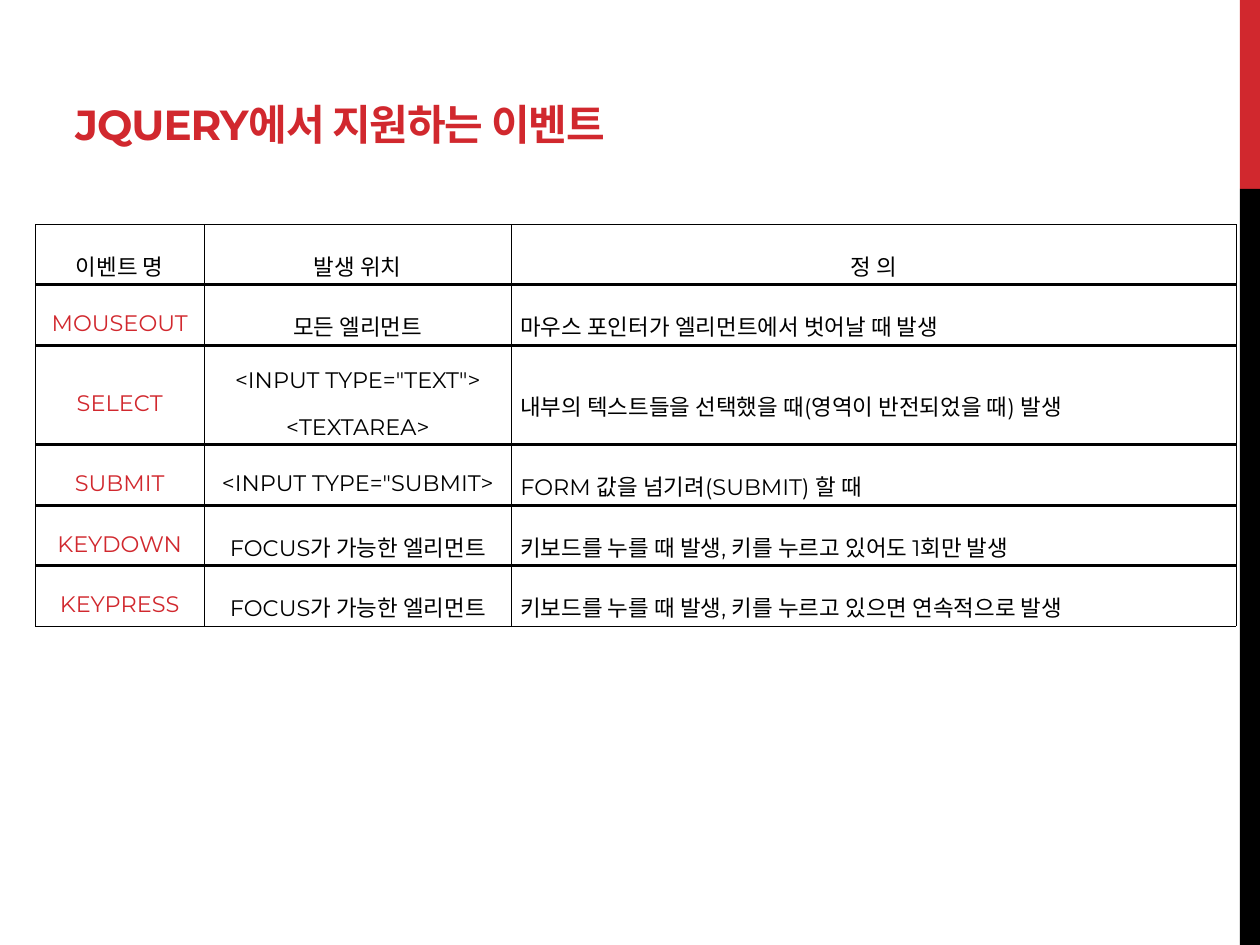
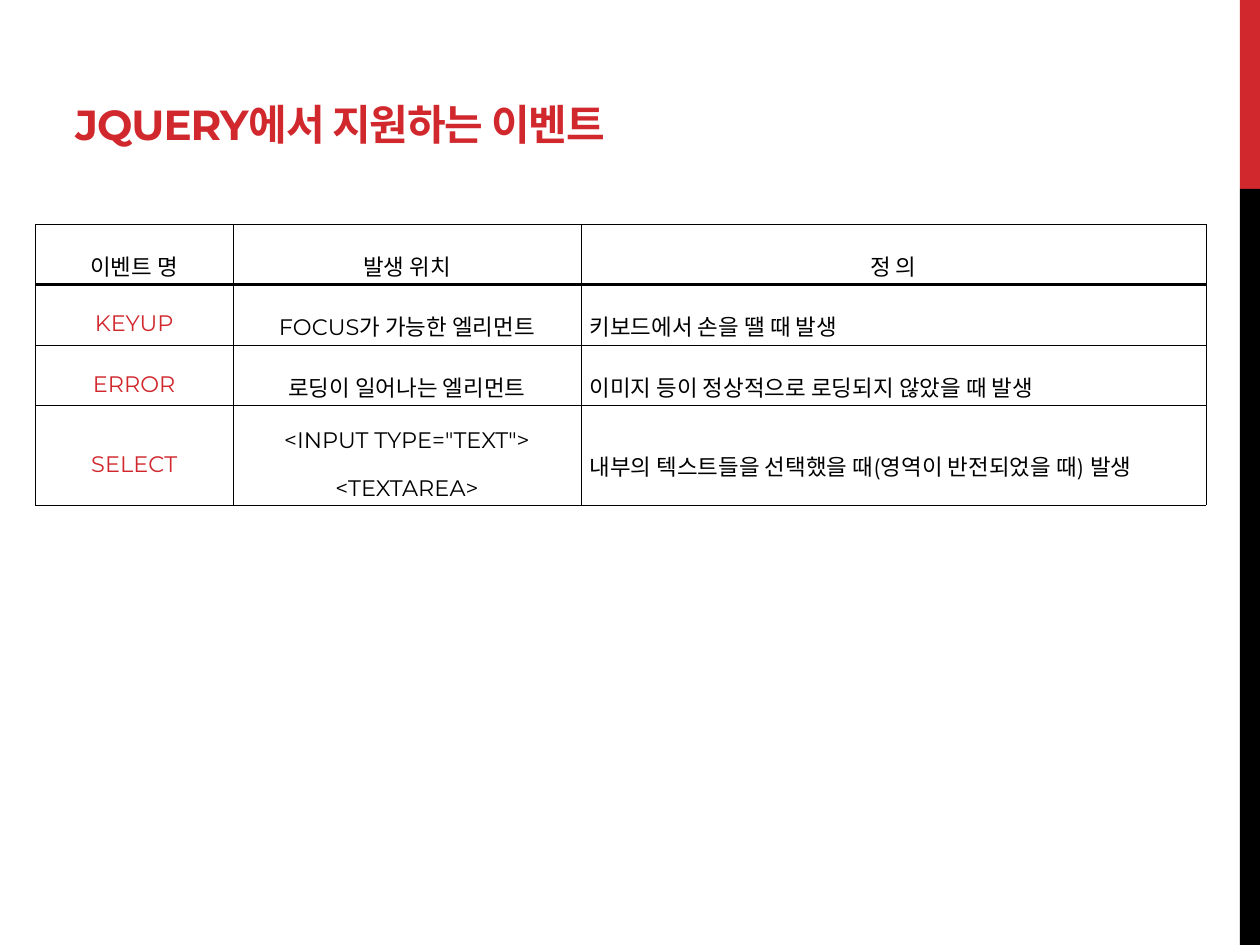
import dataclasses

import lxml.etree
import pptx
import pptx.dml.color
import pptx.enum.shapes
import pptx.enum.text
import pptx.oxml.ns
import pptx.util

ALIGN = pptx.enum.text.PP_ALIGN
ANCHOR = pptx.enum.text.MSO_ANCHOR


@dataclasses.dataclass(frozen=True)
class Theme:
    red: str = "D1282E"
    black: str = "000000"
    white: str = "FFFFFF"
    font: str = "Montserrat"
    title_size: int = 24
    cell_size: int = 16
    thin: float = 0.28
    thick: float = 1.98


class Deck:
    """Draws on the current slide; lengths are cells of a 100 x 75 grid."""

    COLUMNS, ROWS = 100, 75

    def __init__(self, theme):
        self.theme = theme
        self.prs = pptx.Presentation()
        self.prs.slide_width = pptx.util.Inches(10)
        self.prs.slide_height = pptx.util.Inches(7.5)
        self.slide = None

    def x(self, columns):
        return round(self.prs.slide_width * columns / self.COLUMNS)

    def y(self, rows):
        return round(self.prs.slide_height * rows / self.ROWS)

    def box(self, left, top, width, height):
        return self.x(left), self.y(top), self.x(width), self.y(height)

    @staticmethod
    def color(value):
        return pptx.dml.color.RGBColor.from_string(value)

    def new_slide(self, title):
        self.slide = self.prs.slides.add_slide(self.prs.slide_layouts[6])
        self.band(0, 15, self.theme.red)
        self.band(15, 60, self.theme.black)
        self.title(title)

    def band(self, top, height, color):
        sp = self.slide.shapes.add_shape(
            pptx.enum.shapes.MSO_SHAPE.RECTANGLE, *self.box(98.4, top, 1.6, height))
        sp.shadow.inherit = False
        sp.fill.solid()
        sp.fill.fore_color.rgb = self.color(color)
        sp.line.fill.background()

    def run(self, p, text, size, color, bold=False, **attributes):
        r = p.add_run()
        r.text = text
        r.font.name = self.theme.font
        r.font.size = pptx.util.Pt(size)
        r.font.bold = bold
        r.font.color.rgb = self.color(color)
        for name, value in attributes.items():
            r.font._element.set(name, value)

    def title(self, text):
        sp = self.slide.shapes.add_textbox(*self.box(5, 5.2, 92.2, 7.1))
        tf = sp.text_frame
        tf.word_wrap = True
        tf.vertical_anchor = ANCHOR.BOTTOM
        self.run(tf.paragraphs[0], text, self.theme.title_size, self.theme.red,
                 bold=True, spc="-60")

    def border(self, cell, top, bottom):
        """Inserts the four lines ahead of the fill, as the schema requires."""
        tcPr = cell._tc.get_or_add_tcPr()
        thin = self.theme.thin
        sides = {"lnL": thin, "lnR": thin, "lnT": top, "lnB": bottom}
        qn = pptx.oxml.ns.qn
        for i, (side, width) in enumerate(sides.items()):
            ln = lxml.etree.Element(qn(f"a:{side}"), w=str(pptx.util.Pt(width)))
            fill = lxml.etree.SubElement(ln, qn("a:solidFill"))
            lxml.etree.SubElement(fill, qn("a:srgbClr"), val=self.theme.black)
            tcPr.insert(i, ln)

    def cell(self, cell, text, color, align, filled):
        cell.vertical_anchor = ANCHOR.MIDDLE
        cell.margin_left = cell.margin_right = self.x(0.7)
        cell.margin_top = cell.margin_bottom = self.y(0.2)
        if filled:
            cell.fill.solid()
            cell.fill.fore_color.rgb = self.color(self.theme.white)
        else:
            cell.fill.background()
        p = cell.text_frame.paragraphs[0]
        p.alignment = align
        p.line_spacing = 1.4
        self.run(p, text, self.theme.cell_size, color, cap="small")

    def event_table(self, widths, events, thick_rules):
        """thick_rules holds the numbers of the rows that have a thick line below."""
        rows = [HEADINGS, *events]
        heights = [7.9 if "<textarea>" in row[1] else 4.8 for row in rows]
        frame = self.slide.shapes.add_table(
            len(rows), len(widths), *self.box(2.8, 17.8, sum(widths), sum(heights)))
        table = frame.table
        table.first_row = table.horz_banding = False
        for column, width in zip(table.columns, widths):
            column.width = self.x(width)
        for row, height in zip(table.rows, heights):
            row.height = self.y(height)

        def rule(i):
            return self.theme.thick if i in thick_rules else self.theme.thin

        for i, row in enumerate(rows):
            for j, text in enumerate(row):
                color = self.theme.red if i and j == 0 else self.theme.black
                align = ALIGN.JUSTIFY if i and j == 2 else ALIGN.CENTER
                self.cell(table.cell(i, j), text, color, align, filled=i > 0)
                self.border(table.cell(i, j), rule(i - 1), rule(i))


TITLE = "JQUERY에서 지원하는 이벤트"
HEADINGS = ("이벤트 명", "발생 위치", "정 의")
FOCUSABLE = "focus가 가능한 엘리먼트"
SELECT = ("select", '<input type="text"> <textarea>',
          "내부의 텍스트들을 선택했을 때(영역이 반전되었을 때) 발생")
INPUT_EVENTS = [
    ("mouseout", "모든 엘리먼트", "마우스 포인터가 엘리먼트에서 벗어날 때 발생"),
    SELECT,
    ("submit", '<input type="submit>', "form 값을 넘기려(submit) 할 때"),
    ("keydown", FOCUSABLE, "키보드를 누를 때 발생, 키를 누르고 있어도 1회만 발생"),
    ("keypress", FOCUSABLE, "키보드를 누를 때 발생, 키를 누르고 있으면 연속적으로 발생"),
]
OTHER_EVENTS = [
    ("keyup", FOCUSABLE, "키보드에서 손을 땔 때 발생"),
    ("error", "로딩이 일어나는 엘리먼트", "이미지 등이 정상적으로 로딩되지 않았을 때 발생"),
    SELECT,
]


def main():
    deck = Deck(Theme())
    deck.new_slide(TITLE)
    deck.event_table((13.4, 24.4, 57.5), INPUT_EVENTS, range(len(INPUT_EVENTS)))
    deck.new_slide(TITLE)
    deck.event_table((15.7, 27.6, 49.6), OTHER_EVENTS, {0})
    deck.prs.save("out.pptx")


if __name__ == "__main__":
    main()
